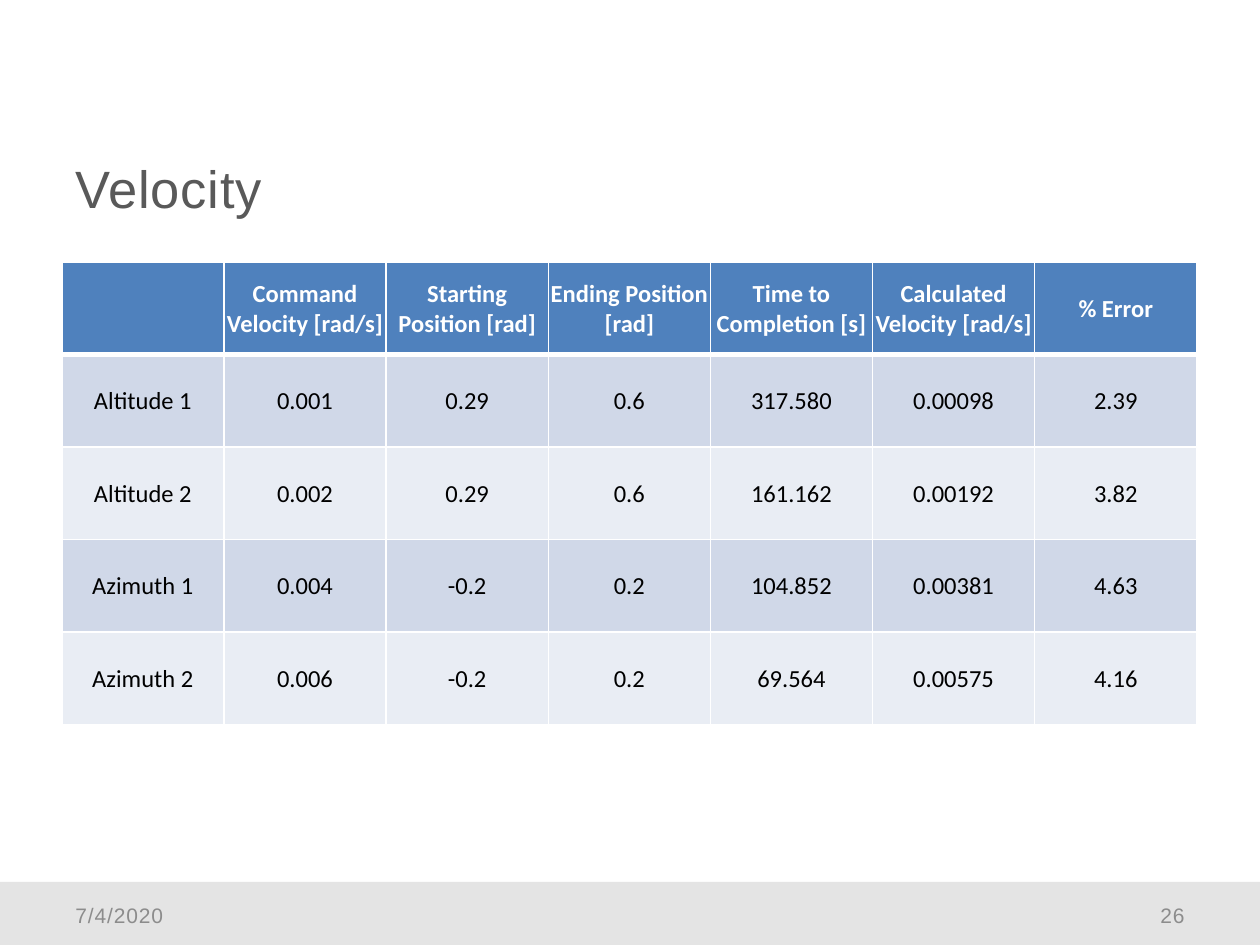
from lxml import etree
from pptx import Presentation
from pptx.dml.color import RGBColor
from pptx.enum.shapes import MSO_SHAPE
from pptx.enum.text import MSO_ANCHOR, PP_ALIGN
from pptx.oxml.ns import qn
from pptx.util import Inches, Pt

WHITE = RGBColor(0xFF, 0xFF, 0xFF)
BLACK = RGBColor(0x00, 0x00, 0x00)
SLATE = RGBColor(0x59, 0x59, 0x59)
GRAY = RGBColor(0x8C, 0x8C, 0x8C)
SILVER = RGBColor(0xE4, 0xE4, 0xE4)
BLUE = RGBColor(0x4F, 0x81, 0xBD)
BANDS = (RGBColor(0xD0, 0xD8, 0xE8), RGBColor(0xE9, 0xED, 0xF4))

RECT = MSO_SHAPE.RECTANGLE
MIDDLE = MSO_ANCHOR.MIDDLE
LEFT, CENTER, RIGHT = PP_ALIGN.LEFT, PP_ALIGN.CENTER, PP_ALIGN.RIGHT

COLS, ROWS = 20, 15

DATA = [
    ["", "Command Velocity [rad/s]", "Starting Position [rad]",
     "Ending Position [rad]", "Time to Completion [s]",
     "Calculated Velocity [rad/s]", "% Error"],
    ["Altitude 1", "0.001", "0.29", "0.6", "317.580", "0.00098", "2.39"],
    ["Altitude 2", "0.002", "0.29", "0.6", "161.162", "0.00192", "3.82"],
    ["Azimuth 1", "0.004", "-0.2", "0.2", "104.852", "0.00381", "4.63"],
    ["Azimuth 2", "0.006", "-0.2", "0.2", "69.564", "0.00575", "4.16"],
]


class Deck:
    """Style and current slide; boxes are (column, row, columns, rows)."""

    face = "Arial"
    grid_face = "Calibri"
    track = 0.5

    def __init__(self):
        self.prs = Presentation()
        self.prs.slide_width = Inches(10)
        self.prs.slide_height = Inches(7.5)
        self.slide = self.prs.slides.add_slide(self.prs.slide_layouts[6])

    def place(self, box):
        wide = self.prs.slide_width / COLS
        high = self.prs.slide_height / ROWS
        return [int(n * unit) for n, unit in zip(box, (wide, high) * 2)]

    def band(self, box, color):
        shape = self.slide.shapes.add_shape(RECT, *self.place(box))
        shape.shadow.inherit = False
        shape.fill.solid()
        shape.fill.fore_color.rgb = color
        shape.line.fill.background()

    def style(self, para, face, size, color, align, bold=False):
        para.alignment = align
        font = para.font
        font.name, font.size, font.bold = face, Pt(size), bold
        font.color.rgb = color

    def text(self, box, words, size, color, align=LEFT, space=1.0):
        frame = self.slide.shapes.add_textbox(*self.place(box)).text_frame
        frame.word_wrap = True
        frame.vertical_anchor = MIDDLE
        para = frame.paragraphs[0]
        para.line_spacing = space
        run = para.add_run()
        run.text = words
        run._r.get_or_add_rPr().set("spc", str(int(self.track * 100)))
        self.style(para, self.face, size, color, align)

    def edge(self, cell, side, width):
        """Draw one white border: side is L, R, T or B, width in points."""
        line = etree.SubElement(cell._tc.get_or_add_tcPr(), qn(f"a:ln{side}"),
                                w=str(Pt(width)))
        fill = etree.SubElement(line, qn("a:solidFill"))
        etree.SubElement(fill, qn("a:srgbClr"), val=str(WHITE))

    def cell(self, cell, words, row):
        head = row == 0
        cell.margin_left = cell.margin_right = cell.margin_top = Inches(0.01)
        cell.margin_bottom = 0
        cell.vertical_anchor = MIDDLE
        widths = {"L": 1, "R": 1, "T": 3 if row == 1 else 1,
                  "B": 3 if head else 1}
        for side, width in widths.items():
            self.edge(cell, side, width)
        cell.fill.solid()
        cell.fill.fore_color.rgb = BLUE if head else BANDS[(row - 1) % 2]
        cell.text = words
        self.style(cell.text_frame.paragraphs[0], self.grid_face, 14,
                   WHITE if head else BLACK, CENTER, head)

    def table(self, box, data):
        table = self.slide.shapes.add_table(
            len(data), len(data[0]), *self.place(box)).table
        for row, line in enumerate(data):
            for col, words in enumerate(line):
                self.cell(table.cell(row, col), words, row)


def main():
    deck = Deck()
    deck.band((0, 14, COLS, 1), SILVER)
    deck.text((1, 1.62, 18, 2.5), "Velocity", 30, SLATE, space=1.2)
    deck.text((1, 14.12, 4.66, 0.8), "7/4/2020", 12, GRAY)
    deck.text((14.34, 14.12, 4.66, 0.8), "26", 12, GRAY, RIGHT)
    deck.table((0.98, 4.16, 18.02, 7.34), DATA)
    deck.prs.save("out.pptx")


if __name__ == "__main__":
    main()
